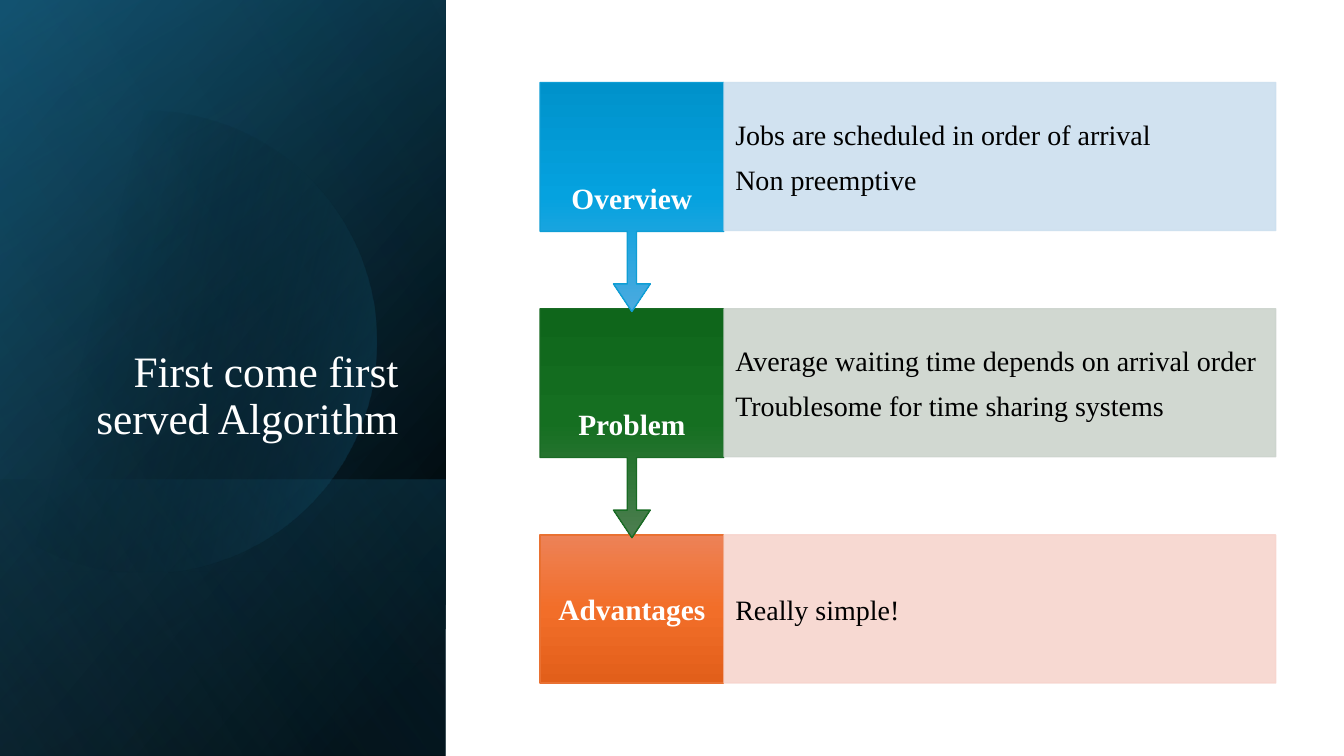
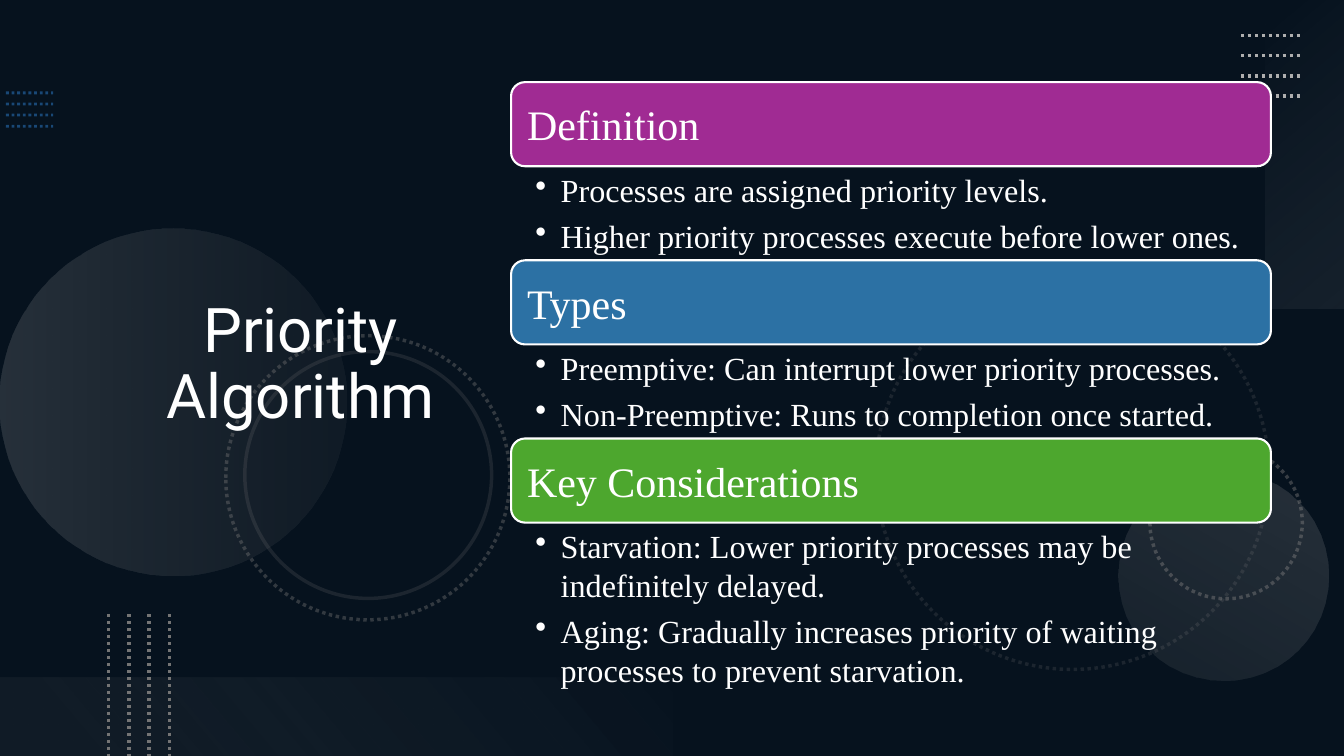
from dataclasses import dataclass
from math import acos, cos, pi, sin
from typing import NamedTuple

from lxml import etree
from pptx import Presentation
from pptx.dml.color import RGBColor
from pptx.enum.dml import MSO_LINE
from pptx.enum.shapes import MSO_CONNECTOR, MSO_SHAPE
from pptx.enum.text import MSO_ANCHOR, MSO_AUTO_SIZE, PP_ALIGN
from pptx.oxml.ns import qn
from pptx.util import Cm, Pt

RECTANGLE = MSO_SHAPE.RECTANGLE
ROUNDED = MSO_SHAPE.ROUNDED_RECTANGLE
OVAL = MSO_SHAPE.OVAL
CALLOUT = MSO_SHAPE.DOWN_ARROW_CALLOUT
STRAIGHT = MSO_CONNECTOR.STRAIGHT
DOTTED, SOLID = MSO_LINE.ROUND_DOT, MSO_LINE.SOLID
MIDDLE, BOTTOM, TOP = MSO_ANCHOR.MIDDLE, MSO_ANCHOR.BOTTOM, MSO_ANCHOR.TOP
LEFT, CENTER, RIGHT = PP_ALIGN.LEFT, PP_ALIGN.CENTER, PP_ALIGN.RIGHT
NO_AUTOFIT = MSO_AUTO_SIZE.NONE

WHITE = RGBColor(0xFF, 0xFF, 0xFF)
BLACK = RGBColor(0x00, 0x00, 0x00)
NAVY = RGBColor(0x0E, 0x28, 0x41)
DEEP_TEAL = RGBColor(0x10, 0x48, 0x62)
TEAL = RGBColor(0x15, 0x60, 0x82)
SKY = RGBColor(0x46, 0xB1, 0xE1)
DOT_BLUE = RGBColor(0x2D, 0x7F, 0xCF)
GREY = RGBColor(0x74, 0x74, 0x74)
SILVER = RGBColor(0xAE, 0xAE, 0xAE)
PALE_GREY = RGBColor(0xF1, 0xF1, 0xF1)
PURPLE = RGBColor(0xA0, 0x2B, 0x93)
BLUE = RGBColor(0x2C, 0x71, 0xA4)
GREEN = RGBColor(0x4D, 0xA7, 0x2E)

SERIF, SANS = "Times New Roman", "Roboto"
SLIDE_WIDTH, SLIDE_HEIGHT = 33.87, 19.05
PANEL_WIDTH = 11.23


class Frame(NamedTuple):
    left: float
    top: float
    width: float
    height: float


class Stop(NamedTuple):
    position: int
    color: RGBColor
    opacity: int = 100


class TextStyle(NamedTuple):
    size: float
    color: RGBColor
    font: str = SERIF
    bold: bool = False
    align: PP_ALIGN = LEFT
    anchor: MSO_ANCHOR = MIDDLE
    margins: tuple = (0.25, 0.13, 0.25, 0.13)
    space_after: float = 0
    line_spacing: float = 1.0


@dataclass
class Glow:
    preset: MSO_SHAPE
    frame: Frame
    angle: int
    stops: tuple


@dataclass
class Ring:
    frame: Frame
    dash: MSO_LINE
    opacity: int


@dataclass
class DottedLines:
    frame: Frame
    step_x: float
    step_y: float
    color: RGBColor
    width: float = 2.5
    opacity: int = 100


@dataclass
class Stage:
    label: str
    lines: tuple
    gradient: tuple
    outline: RGBColor
    tint: RGBColor
    points_down: bool = True


@dataclass
class Section:
    heading: str
    bullets: tuple
    color: RGBColor
    list_height: float = 2.39


LABEL = TextStyle(21, WHITE, bold=True, align=CENTER, margins=(0.33, 0.41, 0.33, 0.41))
STAGE_TEXT = TextStyle(20, BLACK, margins=(0.28, 0.71, 0.28, 0.71), space_after=8)
HEADING = TextStyle(30, WHITE, margins=(0.3, 0.3, 0.3, 0.3))
BULLETS = TextStyle(23, WHITE, anchor=TOP, margins=(0.61, 0.1, 0.58, 0.1), space_after=5.5)
SIDE_TITLE = TextStyle(31, WHITE, align=RIGHT, anchor=BOTTOM, line_spacing=0.9)
CENTER_TITLE = TextStyle(44, WHITE, SANS, align=CENTER, line_spacing=0.9)

FULL_PANEL = Frame(0, 0, PANEL_WIDTH, SLIDE_HEIGHT)
PANEL_GLOWS = (
    Glow(RECTANGLE, FULL_PANEL, 220, (Stop(8, BLACK), Stop(100, DEEP_TEAL))),
    Glow(RECTANGLE, FULL_PANEL, 240, (Stop(0, BLACK, 0), Stop(99, TEAL, 46))),
    Glow(RECTANGLE, Frame(0, 12.09, PANEL_WIDTH, 6.96), 140,
         (Stop(2, TEAL, 29), Stop(100, BLACK, 30))),
)
PANEL_SHEEN = Glow(RECTANGLE, FULL_PANEL, 150, (Stop(0, BLACK, 0), Stop(99, SKY, 11)))

STAGES = (
    Stage("Overview", ("Jobs are scheduled in order of arrival", "Non preemptive"),
          (RGBColor(0x00, 0x92, 0xCB), RGBColor(0x05, 0xA2, 0xDF), RGBColor(0x4C, 0xAA, 0xDF)),
          RGBColor(0x0F, 0x9E, 0xD5), RGBColor(0xCC, 0xDF, 0xEF)),
    Stage("Problem", ("Average waiting time depends on arrival order",
                      "Troublesome for time sharing systems"),
          (RGBColor(0x0F, 0x66, 0x1B), RGBColor(0x15, 0x6F, 0x21), RGBColor(0x4D, 0x7E, 0x50)),
          RGBColor(0x19, 0x6B, 0x24), RGBColor(0xCC, 0xD4, 0xCD)),
    Stage("Advantages", ("Really simple!",),
          (RGBColor(0xED, 0x82, 0x57), RGBColor(0xF2, 0x6E, 0x29), RGBColor(0xE2, 0x5F, 0x1A)),
          RGBColor(0xE9, 0x71, 0x32), RGBColor(0xF7, 0xD5, 0xCE), points_down=False),
)

SECTIONS = (
    Section("Definition", ("Processes are assigned priority levels.",
                           "Higher priority processes execute before lower ones."), PURPLE),
    Section("Types", ("Preemptive: Can interrupt lower priority processes.",
                      "Non-Preemptive: Runs to completion once started."), BLUE),
    Section("Key Considerations",
            ("Starvation: Lower priority processes may be indefinitely delayed.",
             "Aging: Gradually increases priority of waiting processes to prevent starvation."),
            GREEN, 4.32),
)

RINGS = (
    Ring(Frame(22.07, 6.96, 9.91, 9.91), DOTTED, 20),
    Ring(Frame(28.98, 11.25, 3.84, 3.84), DOTTED, 45),
    Ring(Frame(5.69, 8.46, 7.16, 7.16), DOTTED, 40),
    Ring(Frame(6.17, 8.86, 6.22, 6.22), SOLID, 20),
)
NIGHT_GLOWS = (
    Glow(OVAL, Frame(0, 5.77, 8.74, 8.74), 0, (Stop(0, SILVER, 20), Stop(100, GREY, 10))),
    Glow(OVAL, Frame(28.19, 11.86, 5.28, 5.28), 300,
         (Stop(0, SILVER, 10), Stop(100, SILVER, 20))),
    Glow(RECTANGLE, Frame(31.89, 0, 1.98, 7.77), 50,
         (Stop(0, PALE_GREY, 0), Stop(100, SILVER, 10))),
    Glow(RECTANGLE, Frame(0, 17.07, 16.94, 1.98), 320,
         (Stop(10, GREY, 10), Stop(100, PALE_GREY, 0))),
)
DOTTED_LINES = (
    DottedLines(Frame(0.15, 2.34, 1.19, 0), 0, 0.28, DOT_BLUE, 2, 50),
    DottedLines(Frame(31.27, 0.89, 1.52, 0), 0, 0.51, SILVER),
    DottedLines(Frame(2.74, 15.47, 0, 3.58), 0.51, 0, GREY),
)


def lengths(frame: Frame) -> list:
    return [Cm(value) for value in frame]


def fade(part, opacity: int) -> None:
    if opacity < 100:
        color = next(part.iter(qn("a:srgbClr")))
        etree.SubElement(color, qn("a:alpha")).set("val", str(opacity * 1000))


def set_gradient(shape, angle: int, stops: tuple) -> None:
    shape.fill.background()
    gradient = etree.Element(qn("a:gradFill"), rotWithShape="1")
    stop_list = etree.SubElement(gradient, qn("a:gsLst"))
    for stop in stops:
        mark = etree.SubElement(stop_list, qn("a:gs"), pos=str(stop.position * 1000))
        etree.SubElement(mark, qn("a:srgbClr"), val=str(stop.color))
        fade(mark, stop.opacity)
    etree.SubElement(gradient, qn("a:lin"), ang=str(angle * 60000), scaled="0")
    properties = shape._element.spPr
    properties.replace(properties.find(qn("a:noFill")), gradient)


def set_solid(shape, color: RGBColor, opacity: int = 100) -> None:
    shape.fill.solid()
    shape.fill.fore_color.rgb = color
    fade(shape._element.spPr.find(qn("a:solidFill")), opacity)


def set_line(shape, color: RGBColor, width: float, dash: MSO_LINE = SOLID,
             opacity: int = 100) -> None:
    shape.line.color.rgb = color
    shape.line.width = Pt(width)
    shape.line.dash_style = dash
    fade(shape._element.spPr.find(qn("a:ln")), opacity)


def add_plain(page, preset: MSO_SHAPE, frame: Frame):
    shape = page.shapes.add_shape(preset, *lengths(frame))
    shape.shadow.inherit = False
    shape.line.fill.background()
    return shape


def add_glow(page, glow: Glow) -> None:
    set_gradient(add_plain(page, glow.preset, glow.frame), glow.angle, glow.stops)


def write(shape, lines: tuple, style: TextStyle) -> None:
    text_frame = shape.text_frame
    text_frame.text = "\n".join(lines)
    text_frame.word_wrap = True
    text_frame.auto_size = NO_AUTOFIT
    text_frame.vertical_anchor = style.anchor
    (text_frame.margin_left, text_frame.margin_top,
     text_frame.margin_right, text_frame.margin_bottom) = [Cm(value) for value in style.margins]
    for para in text_frame.paragraphs:
        para.alignment = style.align
        para.line_spacing = style.line_spacing
        para.space_before = Pt(0)
        para.space_after = Pt(style.space_after)
        for span in para.runs:
            span.font.name = style.font
            span.font.size = Pt(style.size)
            span.font.bold = style.bold
            span.font.color.rgb = style.color


def add_bullets(shape) -> None:
    for para in shape.text_frame.paragraphs:
        properties = para._p.get_or_add_pPr()
        properties.set("marL", str(Cm(0.64)))
        properties.set("indent", str(-Cm(0.64)))
        etree.SubElement(properties, qn("a:buChar")).set("char", "•")


def place_title(page, text: str, frame: Frame, style: TextStyle) -> None:
    title = page.shapes.title
    title.left, title.top, title.width, title.height = lengths(frame)
    write(title, (text,), style)
    page.shapes._spTree.append(title._element)


def add_panel_disc(page) -> None:
    center_x, center_y, radius, steps = 3.66, 8.61, 5.82, 90
    reach = pi - acos(center_x / radius)
    angles = [reach * (2 * step / steps - 1) for step in range(steps + 1)]
    points = [(Cm(center_x + radius * cos(angle)), Cm(center_y + radius * sin(angle)))
              for angle in angles]
    builder = page.shapes.build_freeform(*points[0])
    builder.add_line_segments(points[1:], close=True)
    disc = builder.convert_to_shape()
    disc.shadow.inherit = False
    disc.line.fill.background()
    set_gradient(disc, 14, (Stop(29, BLACK, 0), Stop(100, TEAL, 43)))


def add_stage(page, stage: Stage, top: float) -> None:
    height = 3.73
    preset, box_height = (CALLOUT, 5.77) if stage.points_down else (RECTANGLE, height)
    box = add_plain(page, preset, Frame(13.61, top, 4.63, box_height))
    if stage.points_down:
        for index, value in enumerate((0.05, 0.1, 0.15, 0.65)):
            box.adjustments[index] = value
    set_gradient(box, 90, tuple(Stop(50 * i, color) for i, color in enumerate(stage.gradient)))
    set_line(box, stage.outline, 1)
    write(box, (stage.label,), LABEL._replace(anchor=BOTTOM if stage.points_down else MIDDLE))
    detail = add_plain(page, RECTANGLE, Frame(18.25, top, 13.9, height))
    set_solid(detail, stage.tint, 90)
    set_line(detail, stage.tint, 1, opacity=90)
    write(detail, stage.lines, STAGE_TEXT)


def add_section(page, section: Section, top: float) -> None:
    left, width, height = 12.88, 19.15, 2.12
    bar = add_plain(page, ROUNDED, Frame(left, top, width, height))
    set_solid(bar, section.color)
    set_line(bar, WHITE, 1.5)
    write(bar, (section.heading,), HEADING)
    box = page.shapes.add_textbox(*lengths(Frame(left, top + height, width, section.list_height)))
    write(box, section.bullets, BULLETS)
    add_bullets(box)


def add_dotted_lines(page, group: DottedLines) -> None:
    for index in range(4):
        left = group.frame.left + index * group.step_x
        top = group.frame.top + index * group.step_y
        line = page.shapes.add_connector(STRAIGHT, Cm(left), Cm(top), Cm(left + group.frame.width),
                                         Cm(top + group.frame.height))
        set_line(line, group.color, group.width, DOTTED, group.opacity)
        etree.SubElement(line._element.spPr, qn("a:effectLst"))


def add_page(deck, color: RGBColor):
    page = deck.slides.add_slide(deck.slide_layouts[5])
    page.background.fill.solid()
    page.background.fill.fore_color.rgb = color
    return page


def build_first_come(deck) -> None:
    page = add_page(deck, WHITE)
    for glow in PANEL_GLOWS:
        add_glow(page, glow)
    add_panel_disc(page)
    add_glow(page, PANEL_SHEEN)
    place_title(page, "First come first served Algorithm", Frame(1.63, 4.67, 8.66, 6.65), SIDE_TITLE)
    for index in reversed(range(len(STAGES))):
        add_stage(page, STAGES[index], 2.08 + 5.7 * index)


def build_priority(deck) -> None:
    page = add_page(deck, NAVY)
    set_solid(add_plain(page, RECTANGLE, Frame(0, 0, SLIDE_WIDTH, SLIDE_HEIGHT)), BLACK, 53)
    for ring in RINGS:
        shape = add_plain(page, OVAL, ring.frame)
        shape.fill.background()
        set_line(shape, GREY, 2.5, ring.dash, ring.opacity)
    for glow in NIGHT_GLOWS:
        add_glow(page, glow)
    for group in DOTTED_LINES:
        add_dotted_lines(page, group)
    place_title(page, "Priority Algorithm", Frame(1.75, 1.37, 11.66, 15.67), CENTER_TITLE)
    for index, section in enumerate(SECTIONS):
        add_section(page, section, 2.07 + 4.49 * index)


def main() -> None:
    deck = Presentation()
    deck.slide_width, deck.slide_height = Cm(SLIDE_WIDTH), Cm(SLIDE_HEIGHT)
    build_first_come(deck)
    build_priority(deck)
    deck.save("out.pptx")


if __name__ == "__main__":
    main()
